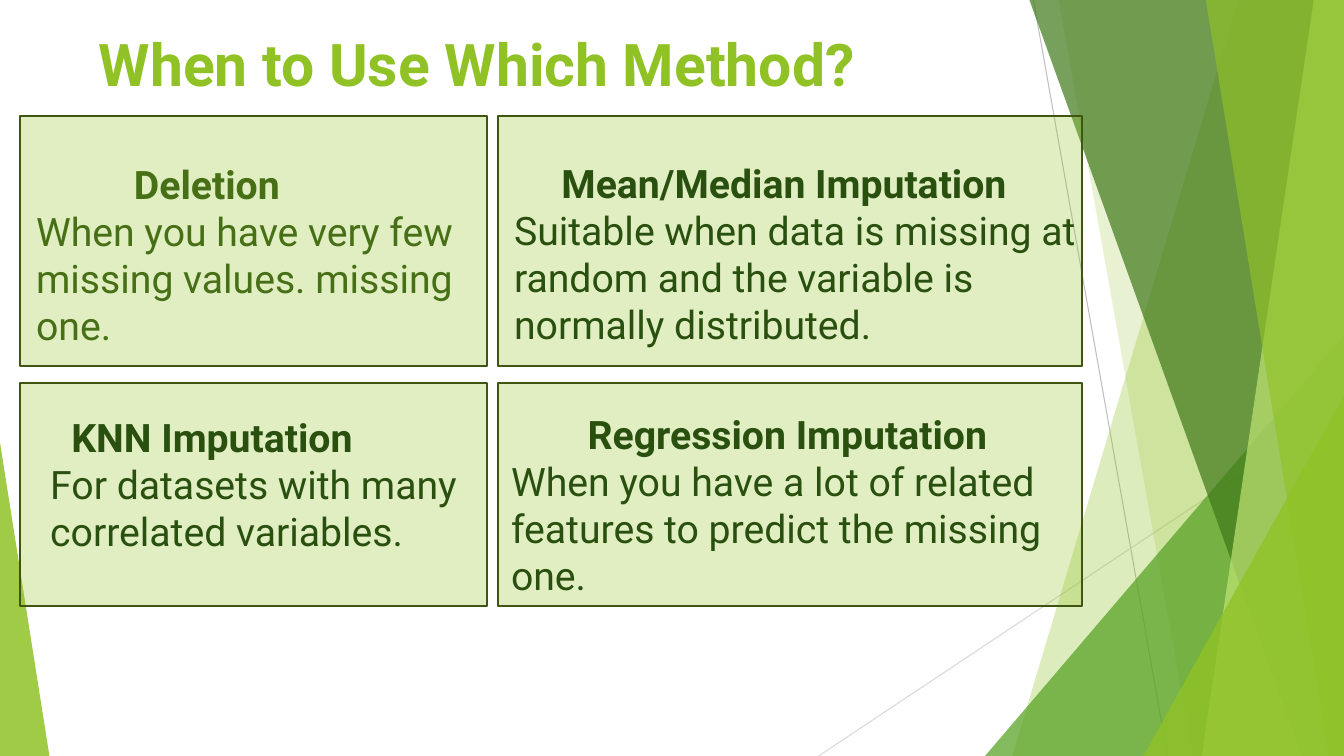
from lxml import etree
from pptx import Presentation
from pptx.dml.color import RGBColor
from pptx.enum.shapes import MSO_CONNECTOR, MSO_SHAPE
from pptx.oxml.ns import qn
from pptx.util import Inches, Pt

LINE, RECT, TRI = MSO_CONNECTOR.STRAIGHT, MSO_SHAPE.RECTANGLE, MSO_SHAPE.ISOSCELES_TRIANGLE
LIME = RGBColor(0x90, 0xC2, 0x26)
LEAF = RGBColor(0x54, 0xA0, 0x21)
MOSS = RGBColor(0x3F, 0x78, 0x19)
PALE = RGBColor(0xC0, 0xE4, 0x74)
EDGE = RGBColor(0x3F, 0x55, 0x11)
INK = RGBColor(0x2A, 0x50, 0x10)
GREY = RGBColor(0xBF, 0xBF, 0xBF)
MIST = RGBColor(0xD9, 0xD9, 0xD9)
WIDE, HIGH = 13.33, 7.5

TITLE = "When to Use Which Method?"

# Start, end, colour
RAYS = [((10.25, 0), (11.58, HIGH), GREY), ((WIDE, 4.03), (8.12, HIGH), MIST)]

# Band: x at top, x at foot. Peak: left, top, width, tip share.
DECOR = [
    ("band", (12.28, 10.04), LIME, 30),
    ("band", (10.5, 11.83), LIME, 20),
    ("peak", (9.77, 3.33, 3.56, 1), LEAF, 72),
    ("band", (10.21, 12.91), MOSS, 70),
    ("band", (13.03, 11.92), PALE, 70),
    ("band", (11.96, 13.18), LIME, 65),
    ("peak", (11.34, 3.93, 1.99, 1), LIME, 80),
    ("peak", (0, 4.39, 0.49, 0), LIME, 85),
]

# Grid of cards: (left, width) of columns, (top, height) of rows
COLS = [(0.2, 4.63), (4.94, 5.79)]
ROWS = [(1.15, 2.48), (3.8, 2.21)]

# Column, row, text offset in the card, heading indent, words, veil over text
CARDS = [
    (1, 1, (0.03, 0.22), 0.76, "Regression Imputation",
     "When you have a lot of related features to predict the missing one.", False),
    (1, 0, (0.06, 0.38), 0.47, "Mean/Median Imputation",
     "Suitable when data is missing at random and the variable is normally distributed.", False),
    (0, 1, (0.2, 0.25), 0.21, "KNN Imputation",
     "For datasets with many correlated variables.", False),
    (0, 0, (0.06, 0.39), 0.97, "Deletion",
     "When you have very few missing values. missing one.", True),
]

deck = Presentation()
deck.slide_width, deck.slide_height = Inches(WIDE), Inches(HIGH)
slide = deck.slides.add_slide(deck.slide_layouts[6])
shapes = slide.shapes


def tint(shape, color, share):
    """Fill with a colour at the given percentage of opacity."""
    shape.shadow.inherit = False
    shape.fill.solid()
    shape.fill.fore_color.rgb = color
    tone = shape.fill._xPr.find(".//" + qn("a:srgbClr"))
    etree.SubElement(tone, qn("a:alpha")).set("val", str(share * 1000))
    shape.line.fill.background()


def band(top, foot):
    pen = shapes.build_freeform(Inches(top), 0)
    spots = [(WIDE, 0), (WIDE, HIGH), (foot, HIGH)]
    pen.add_line_segments([(Inches(x), Inches(y)) for x, y in spots])
    return pen.convert_to_shape()


def peak(left, top, width, tip):
    shape = shapes.add_shape(TRI, *map(Inches, (left, top, width, HIGH - top)))
    shape.adjustments[0] = tip
    return shape


def write(box, lines):
    """Add a text box of (text, format, indent) paragraphs."""
    frame = shapes.add_textbox(*map(Inches, box)).text_frame
    frame.word_wrap = True
    for i, (text, style, indent) in enumerate(lines):
        para = frame.add_paragraph() if i else frame.paragraphs[0]
        para._p.get_or_add_pPr().set("marL", str(Inches(indent)))
        run = para.add_run()
        run.text = text
        run.font.name = "Roboto"
        run.font.color.rgb = style["color"]
        for key in ("size", "bold"):
            setattr(run.font, key, style[key])


def panel(box):
    shape = shapes.add_shape(RECT, *map(Inches, box))
    tint(shape, LIME, 28)
    shape.line.color.rgb = EDGE
    shape.line.width = Pt(1.5)


for start, end, color in RAYS:
    ray = shapes.add_connector(LINE, *map(Inches, start + end))
    ray.line.color.rgb = color
    ray.line.width = Pt(0.75)
    etree.SubElement(ray._element.spPr, qn("a:effectLst"))

MAKE = {"band": band, "peak": peak}
for kind, spots, color, share in DECOR:
    tint(MAKE[kind](*spots), color, share)

HEAD = {"size": Pt(28), "bold": True, "color": INK}
BODY = {**HEAD, "bold": False}
BIG = {**HEAD, "size": Pt(42), "color": LIME}

write((0.88, 0.23, 9.4, 0.75), [(TITLE, BIG, 0)])
for col, row, (dx, dy), indent, head, body, veil in CARDS:
    (left, width), (top, height) = COLS[col], ROWS[row]
    box = (left, top, width, height)
    if not veil:
        panel(box)
    write((left + dx, top + dy, width, height - dy), [(head, HEAD, indent), (body, BODY, 0)])
    if veil:
        panel(box)

deck.save("out.pptx")
